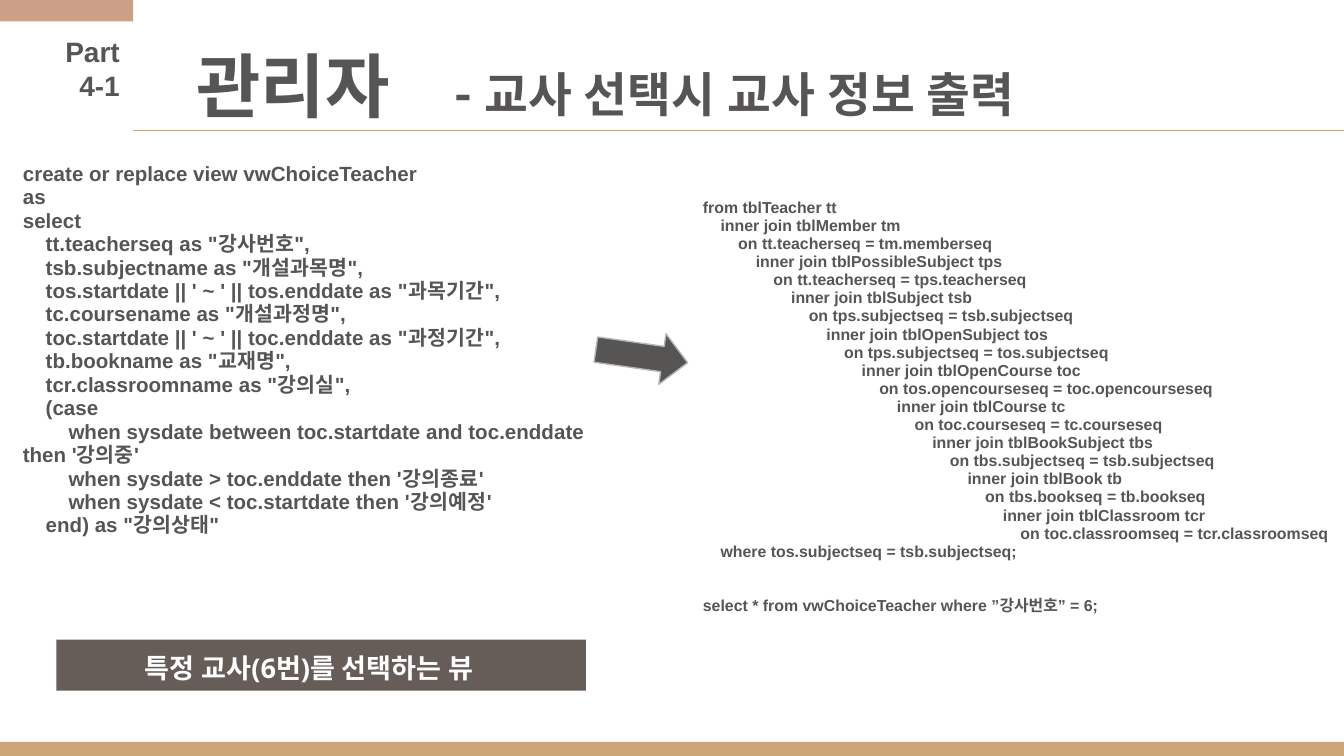
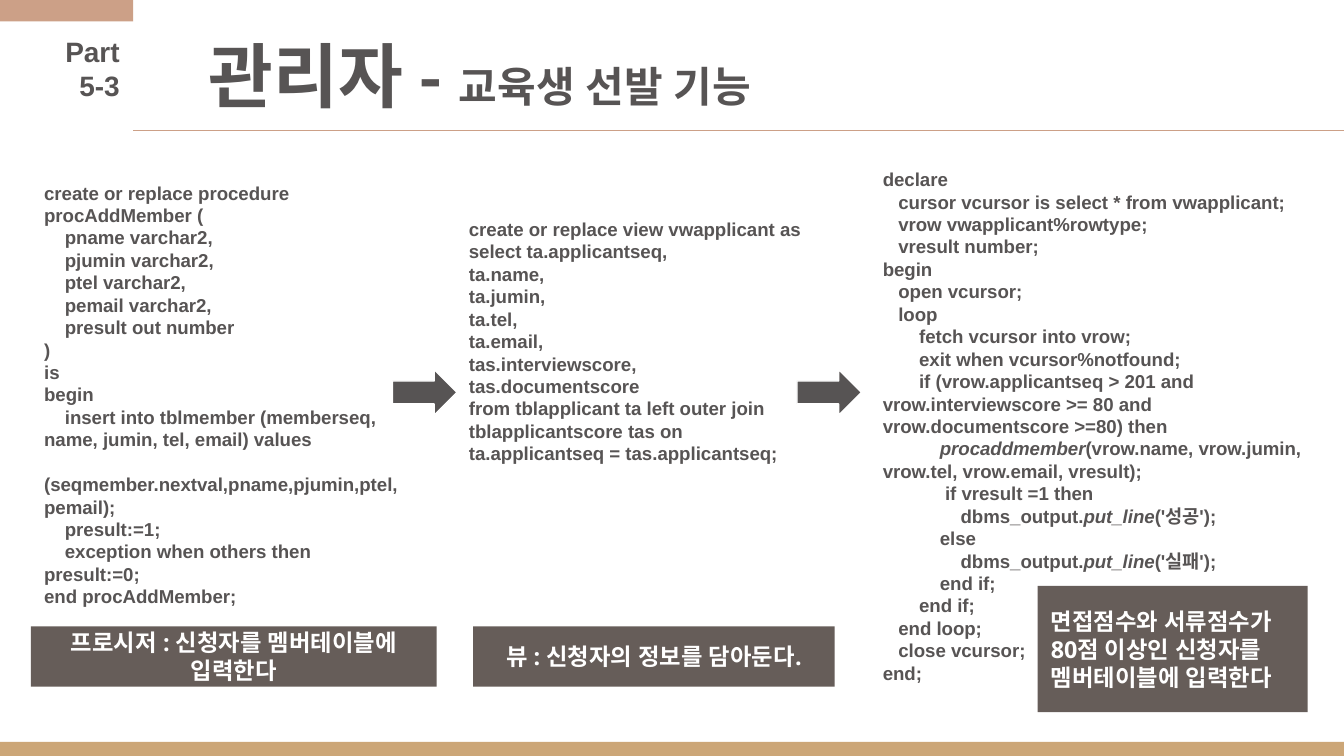
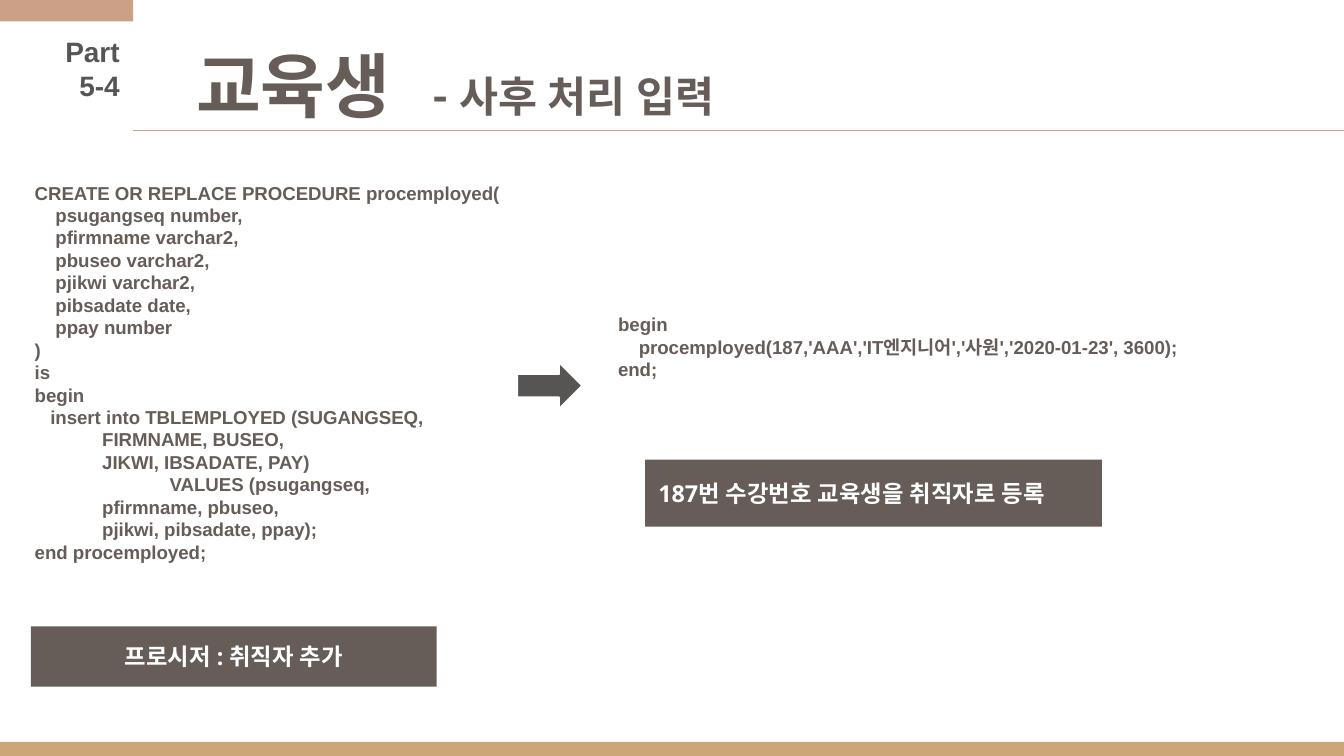
import pptx
import pptx.dml.color
import pptx.enum.shapes
import pptx.enum.text
import pptx.oxml.ns
import pptx.util
from lxml import etree

Inches, Pt = pptx.util.Inches, pptx.util.Pt
RGBColor = pptx.dml.color.RGBColor
SHAPE = pptx.enum.shapes.MSO_SHAPE
ALIGN = pptx.enum.text.PP_ALIGN
ANCHOR = pptx.enum.text.MSO_ANCHOR
AUTO_SIZE = pptx.enum.text.MSO_AUTO_SIZE
qn = pptx.oxml.ns.qn

GOLD = RGBColor(0xCC, 0xA6, 0x77)
ROSE = RGBColor(0xCC, 0xA0, 0x87)
GRAY = RGBColor(0x57, 0x54, 0x54)
BROWN = RGBColor(0x66, 0x5D, 0x59)
SILVER = RGBColor(0xB7, 0xB7, 0xB7)
WHITE = RGBColor(0xFF, 0xFF, 0xFF)

TITLE_FONT, CODE_FONT, CAPTION_FONT = "Roboto", "Arial", "Open Sans"
TWO_CONTENT, TITLE_ONLY = 3, 5  # layouts of the default template
SPACE_WIDTH = 0.278  # of the font size, in the code font
LINE_HEIGHT = 1.2

VIEW_COLUMNS = """\
create or replace view vwChoiceTeacher
as
select
    tt.teacherseq as "강사번호",
    tsb.subjectname as "개설과목명",
    tos.startdate || ' ~ ' || tos.enddate as "과목기간",
    tc.coursename as "개설과정명",
    toc.startdate || ' ~ ' || toc.enddate as "과정기간",
    tb.bookname as "교재명",
    tcr.classroomname as "강의실",
    (case
        when sysdate between toc.startdate and toc.enddate then '강의중'
        when sysdate > toc.enddate then '강의종료'
        when sysdate < toc.startdate then '강의예정'
    end) as "강의상태\""""

JOIN_CHAIN = [
    "from tblTeacher tt",
    "inner join tblMember tm",
    "on tt.teacherseq = tm.memberseq",
    "inner join tblPossibleSubject tps",
    "on tt.teacherseq = tps.teacherseq",
    "inner join tblSubject tsb",
    "on tps.subjectseq = tsb.subjectseq",
    "inner join tblOpenSubject tos",
    "on tps.subjectseq = tos.subjectseq",
    "inner join tblOpenCourse toc",
    "on tos.opencourseseq = toc.opencourseseq",
    "inner join tblCourse tc",
    "on toc.courseseq = tc.courseseq",
    "inner join tblBookSubject tbs",
    "on tbs.subjectseq = tsb.subjectseq",
    "inner join tblBook tb",
    "on tbs.bookseq = tb.bookseq",
    "inner join tblClassroom tcr",
    "on toc.classroomseq = tcr.classroomseq",
]
VIEW_QUERY = """
    where tos.subjectseq = tsb.subjectseq;


select * from vwChoiceTeacher where ”강사번호” = 6;"""

ADD_MEMBER = """\
create or replace procedure procAddMember (
    pname varchar2,
    pjumin varchar2,
    ptel varchar2,
    pemail varchar2,
    presult out number
)
is
begin
    insert into tblmember (memberseq, name, jumin, tel, email) values

(seqmember.nextval,pname,pjumin,ptel,pemail);
    presult:=1;
    exception when others then presult:=0;
end procAddMember;"""

APPLICANT_VIEW = """\
create or replace view vwapplicant as
select ta.applicantseq,
ta.name,
ta.jumin,
ta.tel,
ta.email,
tas.interviewscore,
tas.documentscore
from tblapplicant ta left outer join tblapplicantscore tas on \
ta.applicantseq = tas.applicantseq;"""

SELECT_APPLICANTS = """\
declare
   cursor vcursor is select * from vwapplicant;
   vrow vwapplicant%rowtype;
   vresult number;
begin
   open vcursor;
   loop
       fetch vcursor into vrow;
       exit when vcursor%notfound;
       if (vrow.applicantseq > 201 and vrow.interviewscore >= 80 and \
vrow.documentscore >=80) then
           `procaddmember`(vrow.name, vrow.jumin, vrow.tel, vrow.email, vresult);
            if vresult =1 then
               dbms_output.`put_line`('성공');
           else
               dbms_output.`put_line`('실패');
           end if;
       end if;
   end loop;
   close vcursor;
end;"""

ADD_EMPLOYED = """\
CREATE OR REPLACE PROCEDURE procemployed(
    psugangseq number,
    pfirmname varchar2,
    pbuseo varchar2,
    pjikwi varchar2,
    pibsadate date,
    ppay number
)
is
begin
   insert into TBLEMPLOYED (SUGANGSEQ,
             FIRMNAME, BUSEO,
             JIKWI, IBSADATE, PAY)
                          VALUES (psugangseq,
             pfirmname, pbuseo,
             pjikwi, pibsadate, ppay);
end procemployed;"""

CALL_EMPLOYED = """\
begin
    procemployed(187,'AAA','IT엔지니어','사원','2020-01-23', 3600);
end;"""


def set_values(obj, **values):
    for name, value in values.items():
        setattr(obj, name, value)


def place(sp, box):
    names = ("left", "top", "width", "height")
    set_values(sp, **{n: Inches(v) for n, v in zip(names, box)})


def prepare_frame(sp, inset=0.1, anchor=ANCHOR.TOP):
    """Set wrapping, anchor and insets; inset is the top and bottom one."""
    tf = sp.text_frame
    set_values(tf, word_wrap=True, auto_size=AUTO_SIZE.NONE, vertical_anchor=anchor,
               margin_left=Inches(0.1), margin_right=Inches(0.1),
               margin_top=Inches(inset), margin_bottom=Inches(inset))
    return tf


def add_run(p, text, font, size, color, italic=None, tracking=0):
    """Add a bold run; tracking is extra width per character, in points."""
    r = p.add_run()
    r.text = text
    set_values(r.font, name=font, size=Pt(size), bold=True, italic=italic)
    r.font.color.rgb = color
    ea = etree.SubElement(r.font._element, qn("a:ea"))
    ea.set("typeface", font)
    if tracking:
        r.font._element.set("spc", str(int(tracking * 100)))


def set_indent(p, first_line):
    """Indent the first line only, in points, and drop any bullet."""
    pPr = p._p.get_or_add_pPr()
    pPr.set("marL", "0")
    pPr.set("indent", str(int(Pt(first_line))))
    etree.SubElement(pPr, qn("a:buNone"))


def add_box(slide, shape, box, fill, line=None):
    sp = slide.shapes.add_shape(shape, *map(Inches, box))
    sp.shadow.inherit = False
    sp.fill.solid()
    sp.fill.fore_color.rgb = fill
    if line is None:
        sp.line.fill.background()
    else:
        sp.line.color.rgb = line
        sp.line.width = Pt(0.75)
    return sp


def add_arrow(slide, left, top, width=0.48, height=0.34, line=WHITE, rotation=0):
    sp = add_box(slide, SHAPE.RIGHT_ARROW, (left, top, width, height), GRAY, line)
    sp.rotation = rotation


def add_text(slide, box, text, font, size, color, align, inset=0.1):
    sp = slide.shapes.add_textbox(*map(Inches, box))
    p = prepare_frame(sp, inset).paragraphs[0]
    p.alignment = align
    add_run(p, text, font, size, color)


def add_caption(slide, box, text, align=ALIGN.CENTER):
    sp = add_box(slide, SHAPE.RECTANGLE, box, BROWN)
    p = prepare_frame(sp, 0.05, ANCHOR.MIDDLE).paragraphs[0]
    p.alignment = align
    add_run(p, text, CAPTION_FONT, 12.5, WHITE)


def fill_code(sp, code, size=10, color=GRAY, spacing=None):
    """One paragraph a line: leading spaces become an indent, empty lines
    become space before the next paragraph, and backticks mark italics."""
    tf = prepare_frame(sp)
    p, empty = tf.paragraphs[0], 0
    for number, line in enumerate(code.split("\n")):
        if not line:
            empty += 1
            continue
        if number:
            p = tf.add_paragraph()
        text = line.lstrip()
        gap = empty * size * LINE_HEIGHT * (spacing or 1)
        set_values(p, alignment=ALIGN.LEFT, line_spacing=spacing, space_before=Pt(gap))
        set_indent(p, (len(line) - len(text)) * SPACE_WIDTH * size)
        for i, part in enumerate(text.split("`")):
            if part:
                add_run(p, part, CODE_FONT, size, color, italic=i % 2 == 1)
        empty = 0


def add_code(slide, box, code, color=GRAY):
    fill_code(slide.shapes.add_textbox(*map(Inches, box)), code, color=color)


def set_title(slide, box, role, topic, color, indent=0):
    """Write role, gap and topic; each is (text, size) or (text, size, tracking)."""
    title = slide.shapes.title
    place(title, box)
    p = prepare_frame(title, anchor=ANCHOR.BOTTOM).paragraphs[0]
    p.alignment = ALIGN.LEFT
    set_indent(p, indent)
    for text, size, *tracking in (*role, topic):
        add_run(p, text, TITLE_FONT, size, color, None, *tracking)


def add_master_band(prs, slide):
    """Draw the bottom band and move it to the master, under every slide."""
    band = add_box(slide, SHAPE.RECTANGLE, (0, 5.52, 10, 0.11), GOLD)
    prs.slide_master.shapes._spTree.append(band._element)


def add_slide(prs, layout, part, part_width):
    """Add a slide with its corner tab, part number and title rule."""
    slide = prs.slides.add_slide(prs.slide_layouts[layout])
    add_box(slide, SHAPE.RECTANGLE, (0, 0, 0.99, 0.16), ROSE)
    add_text(slide, (0.99 - part_width, 0.16, part_width, 0.71), part,
             CODE_FONT, 15, GRAY, ALIGN.RIGHT)
    rule = slide.shapes.add_connector(pptx.enum.shapes.MSO_CONNECTOR.STRAIGHT,
                                      *map(Inches, (0.99, 0.97, 10.02, 0.97)))
    rule.line.color.rgb = ROSE
    rule.line.width = Pt(0.75)
    etree.SubElement(rule._element.spPr, qn("a:effectLst"))
    return slide


def build_teacher_view(prs):
    slide = add_slide(prs, TWO_CONTENT, "Part 4-1", 0.61)
    add_master_band(prs, slide)
    set_title(slide, (1.36, 0.45, 8.43, 0.59), [("관리자", 37.5), (" ", 37.5, 25)],
              ("- 교사 선택시 교사 정보 출력", 25.5), GRAY)
    add_arrow(slide, 4.43, 2.46, 0.69, 0.38, SILVER, 8.1)
    columns, joins = slide.placeholders[1], slide.placeholders[2]
    place(columns, (0.07, 1.11, 5.07, 3.4))
    fill_code(columns, VIEW_COLUMNS, 11, spacing=0.95)
    place(joins, (5.13, 1.38, 4.87, 3.56))
    steps = [" " * 4 * i + step for i, step in enumerate(JOIN_CHAIN)]
    fill_code(joins, "\n".join(steps) + VIEW_QUERY, 8.5, spacing=0.95)
    add_box(slide, SHAPE.RECTANGLE, (0.42, 4.76, 3.94, 0.38), BROWN)
    add_text(slide, (0.19, 4.8, 4.22, 0.35), "특정 교사(6번)를 선택하는 뷰",
             CAPTION_FONT, 14.5, WHITE, ALIGN.CENTER, 0.05)


def build_trainee_selection(prs):
    slide = add_slide(prs, TITLE_ONLY, "Part 5-3", 0.76)
    set_title(slide, (1.23, 0.38, 8.87, 0.59), [("관리자", 37.7), (" - ", 33.8)],
              ("교육생 선발 기능", 22.5), GRAY, indent=16)
    add_code(slide, (0.23, 1.25, 2.89, 3.8), ADD_MEMBER)
    add_code(slide, (3.39, 1.52, 2.69, 2.79), APPLICANT_VIEW)
    add_code(slide, (6.47, 1.15, 3.33, 4.48), SELECT_APPLICANTS)
    add_caption(slide, (0.23, 4.66, 3.02, 0.45), "프로시저 : 신청자를 멤버테이블에 입력한다")
    add_caption(slide, (3.52, 4.66, 2.69, 0.45), "뷰 : 신청자의 정보를 담아둔다.")
    add_caption(slide, (7.72, 4.36, 2.01, 0.94),
                "면접점수와 서류점수가 80점 이상인 신청자를 멤버테이블에 입력한다", ALIGN.LEFT)
    for left in (2.92, 5.93):
        add_arrow(slide, left, 2.75)


def build_employment_entry(prs):
    slide = add_slide(prs, TITLE_ONLY, "Part 5-4", 0.73)
    set_title(slide, (1.36, 0.45, 8.43, 0.59), [("교육생", 37.7), (" ", 37.7, 13)],
              ("- 사후 처리 입력", 22.7), BROWN)
    add_code(slide, (0.16, 1.25, 5.15, 3.65), ADD_EMPLOYED, BROWN)
    add_code(slide, (4.5, 2.23, 5.15, 1.28), CALL_EMPLOYED, BROWN)
    add_caption(slide, (0.23, 4.66, 3.02, 0.45), "프로시저 : 취직자 추가")
    add_caption(slide, (4.8, 3.42, 3.4, 0.5), "187번 수강번호 교육생을 취직자로 등록", ALIGN.LEFT)
    add_arrow(slide, 3.85, 2.7)


def main():
    prs = pptx.Presentation()
    # A 16:9 page, 10 inches wide
    set_values(prs, slide_width=Inches(10), slide_height=Inches(10) * 9 // 16)
    build_teacher_view(prs)
    build_trainee_selection(prs)
    build_employment_entry(prs)
    prs.save("out.pptx")


if __name__ == "__main__":
    main()
